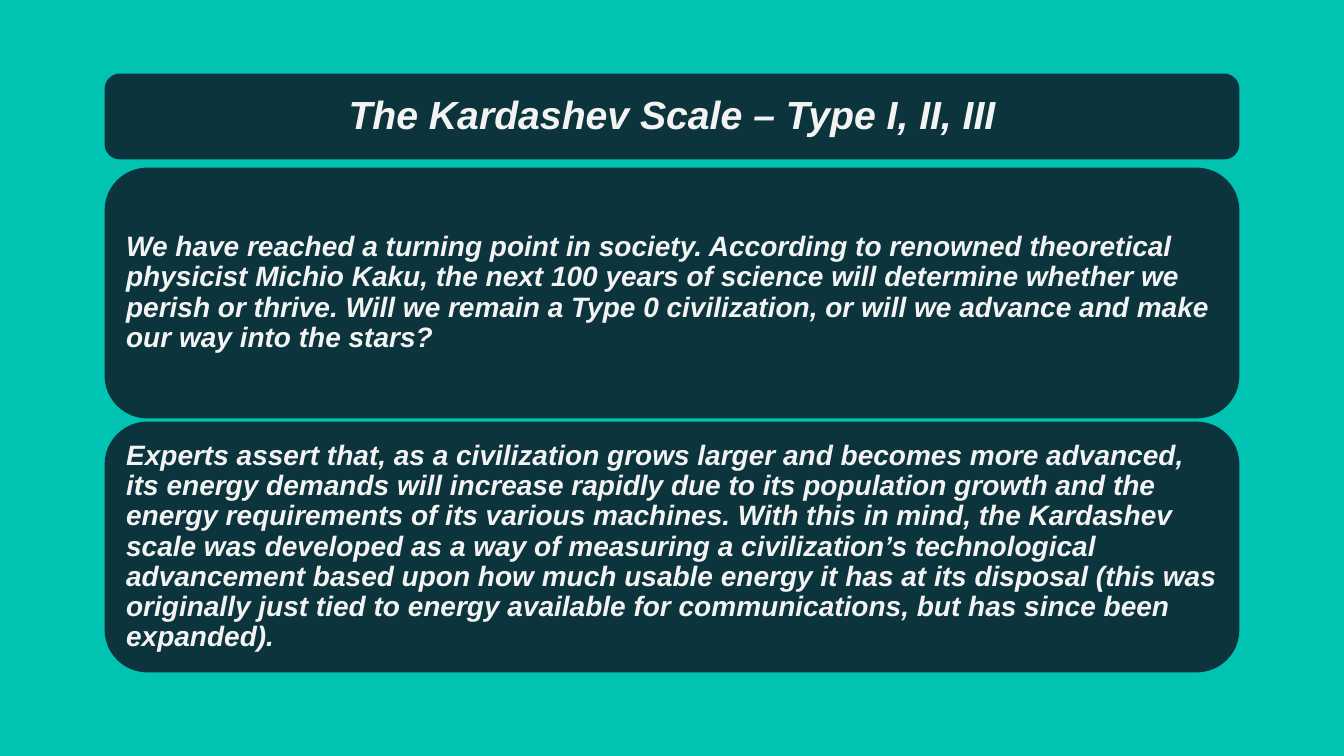
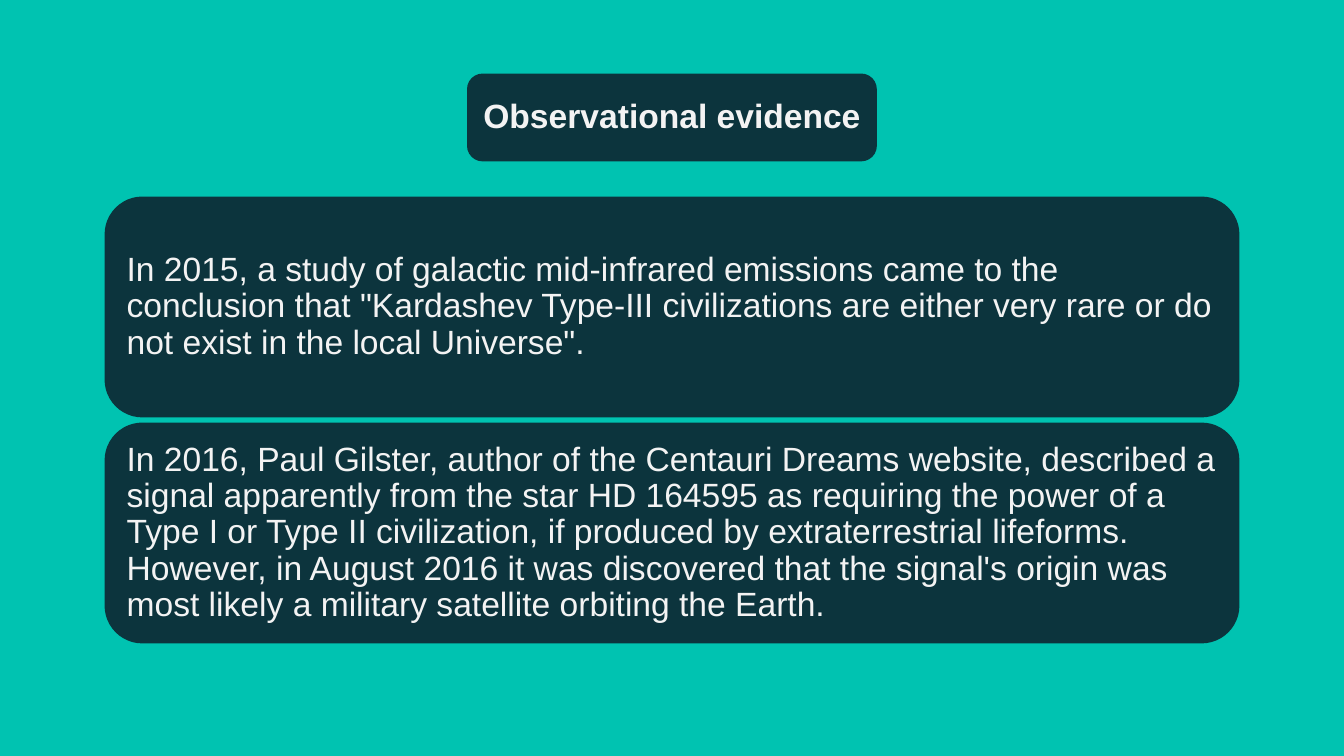
"""Build two slides about the Kardashev scale as a title band over two text cards."""
import pptx
import pptx.dml.color
import pptx.enum.shapes
import pptx.enum.text
import pptx.util

TEAL = pptx.dml.color.RGBColor(0x00, 0xC3, 0xB1)
NAVY = pptx.dml.color.RGBColor(0x0C, 0x34, 0x3D)
PALE = pptx.dml.color.RGBColor(0xF3, 0xF3, 0xF3)
FONT = "Arial"

SLIDES = [
    {
        "title": "The Kardashev Scale – Type I, II, III",
        "title_points": 28,
        "band_width": 1132,
        "band_height": 83,
        "italic": True,
        "cards": [
            "We have reached a turning point in society. According to renowned theoretical physicist "
            "Michio Kaku, the next 100 years of science will determine whether we perish or thrive. "
            "Will we remain a Type 0 civilization, or will we advance and make our way into the stars?",
            "Experts assert that, as a civilization grows larger and becomes more advanced, its energy "
            "demands will increase rapidly due to its population growth and the energy requirements of "
            "its various machines. With this in mind, the Kardashev scale was developed as a way of "
            "measuring a civilization’s technological advancement based upon how much usable energy it "
            "has at its disposal (this was originally just tied to energy available for communications, "
            "but has since been expanded).",
        ],
        "card_points": 20,
        "card_bold": True,
        "card_height": 248,
        "card_gap": 6,
        "card_inset": 8,
    },
    {
        "title": "Observational evidence",
        "title_points": 24,
        "band_width": 407,
        "band_height": 85,
        "italic": False,
        "cards": [
            "In 2015, a study of galactic mid-infrared emissions came to the conclusion that "
            "\"Kardashev Type-III civilizations are either very rare or do not exist in the local "
            "Universe\".",
            "In 2016, Paul Gilster, author of the Centauri Dreams website, described a signal apparently "
            "from the star HD 164595 as requiring the power of a Type I or Type II civilization, if "
            "produced by extraterrestrial lifeforms. However, in August 2016 it was discovered that the "
            "signal's origin was most likely a military satellite orbiting the Earth.",
        ],
        "card_points": 24,
        "card_bold": False,
        "card_height": 218,
        "card_gap": 8,
        "card_inset": 10,
    },
]

SLIDE_WIDTH, SLIDE_HEIGHT = 1344, 756
CARD_WIDTH = 1132
BAND_TOP = 75
BAND_INSET = 8
CARDS_MIDDLE = 420
TITLE_ONLY_LAYOUT = 5


def px(length):
    return pptx.util.Emu(round(length * 12192000 / SLIDE_WIDTH))


def centred_box(top, width, height):
    return px((SLIDE_WIDTH - width) / 2), px(top), px(width), px(height)


def add_panel(slide, box):
    panel = slide.shapes.add_shape(pptx.enum.shapes.MSO_SHAPE.ROUNDED_RECTANGLE, *box)
    panel.shadow.inherit = False
    panel.fill.solid()
    panel.fill.fore_color.rgb = NAVY
    panel.line.color.rgb = NAVY
    panel.line.width = pptx.util.Pt(2)
    return panel


def write_text(shape, text, points, bold, italic, alignment, inset):
    frame = shape.text_frame
    frame.word_wrap = True
    frame.auto_size = pptx.enum.text.MSO_AUTO_SIZE.NONE
    frame.vertical_anchor = pptx.enum.text.MSO_ANCHOR.MIDDLE
    frame.margin_left = frame.margin_right = px(inset)
    frame.margin_top = frame.margin_bottom = px(inset)
    paragraph = frame.paragraphs[0]
    paragraph.alignment = alignment
    paragraph.line_spacing = 0.9
    run = paragraph.add_run()
    run.text = text
    run.font.name = FONT
    run.font.size = pptx.util.Pt(points)
    run.font.bold = bold
    run.font.italic = italic
    run.font.color.rgb = PALE


def add_title(slide, content):
    box = centred_box(BAND_TOP, content["band_width"], content["band_height"])
    band = add_panel(slide, box)
    title = slide.shapes.title
    title.left, title.top, title.width, title.height = box
    title.element.addprevious(band.element)
    write_text(title, content["title"], content["title_points"], True, content["italic"],
               pptx.enum.text.PP_ALIGN.CENTER, BAND_INSET)


def add_cards(slide, content):
    height, gap = content["card_height"], content["card_gap"]
    first_top = CARDS_MIDDLE - gap / 2 - height
    for index, text in enumerate(content["cards"]):
        card = add_panel(slide, centred_box(first_top + index * (height + gap), CARD_WIDTH, height))
        write_text(card, text, content["card_points"], content["card_bold"], content["italic"],
                   pptx.enum.text.PP_ALIGN.LEFT, content["card_inset"])


def main():
    presentation = pptx.Presentation()
    presentation.slide_width = px(SLIDE_WIDTH)
    presentation.slide_height = px(SLIDE_HEIGHT)
    background = presentation.slide_master.background.fill
    background.solid()
    background.fore_color.rgb = TEAL
    for content in SLIDES:
        slide = presentation.slides.add_slide(presentation.slide_layouts[TITLE_ONLY_LAYOUT])
        add_title(slide, content)
        add_cards(slide, content)
    presentation.save("out.pptx")


if __name__ == "__main__":
    main()
